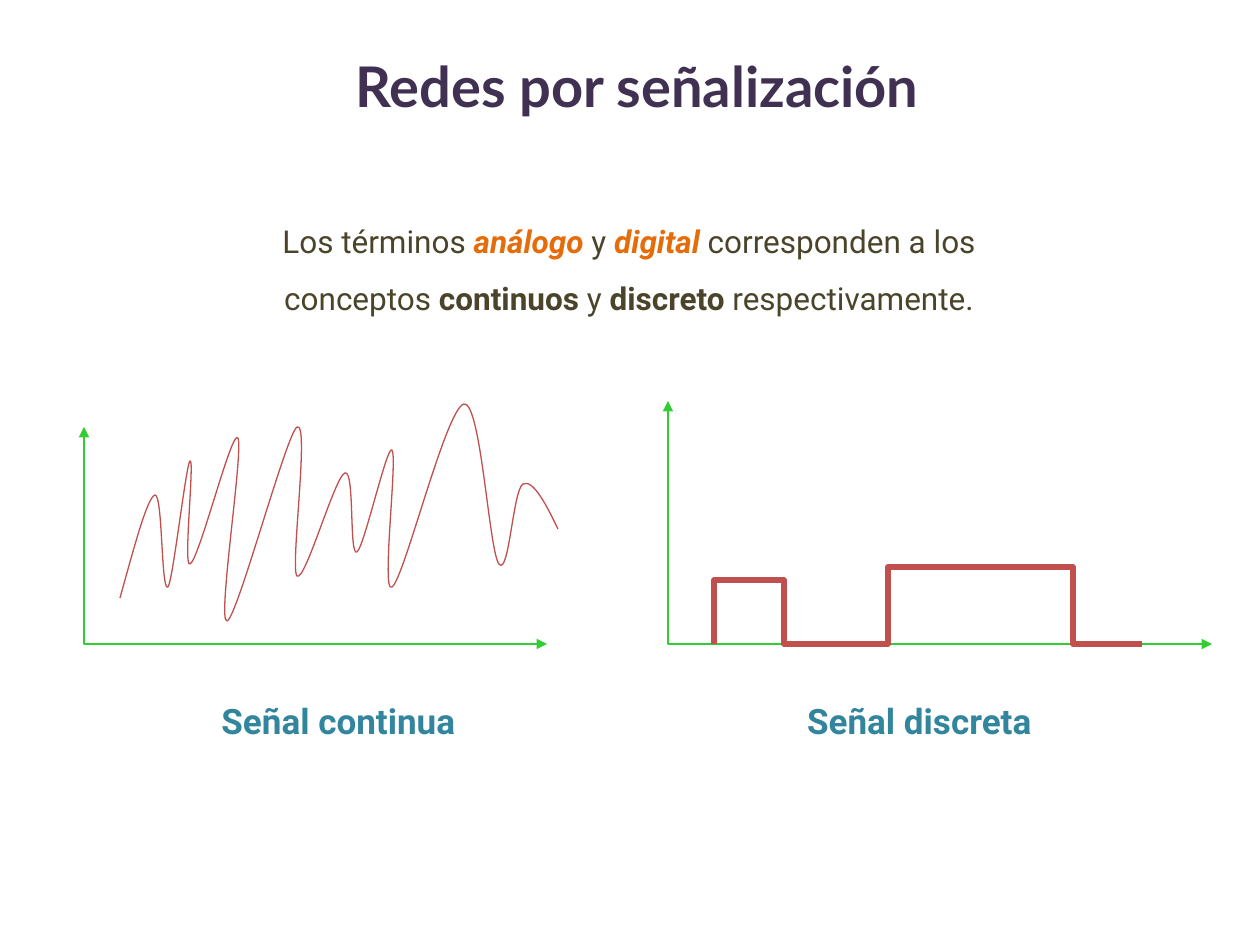
from dataclasses import dataclass

from lxml import etree
from pptx import Presentation
from pptx.dml.color import RGBColor
from pptx.enum.text import MSO_ANCHOR, MSO_AUTO_SIZE, PP_ALIGN
from pptx.oxml.ns import qn
from pptx.util import Emu, Inches, Pt

CENTER = PP_ALIGN.CENTER
MIDDLE = MSO_ANCHOR.MIDDLE
NO_FIT = MSO_AUTO_SIZE.NONE
SCALE = 914400 / 126
COLORS = {
    "title": "403152",
    "body": "4A452A",
    "accent": "E46C0A",
    "caption": "31859C",
    "axis": "33CC33",
    "signal": "C0504D",
}


@dataclass(frozen=True)
class Box:
    left: int
    top: int
    width: int
    height: int


@dataclass(frozen=True)
class Span:
    text: str
    color: str = "body"
    bold: bool = False
    italic: bool = False


@dataclass(frozen=True)
class Outline:
    points: tuple[tuple[int, int], ...]
    color: str
    weight: float
    arrows: bool = False
    curved: bool = False


@dataclass(frozen=True)
class Caption:
    text: str
    left: int


BODY = (
    Span("Los términos "),
    Span("análogo", "accent", True, True),
    Span(" y "),
    Span("digital ", "accent", True, True),
    Span("corresponden a los conceptos "),
    Span("continuos", bold=True),
    Span(" y "),
    Span("discreto", bold=True),
    Span(" respectivamente."),
)

WAVE = (
    (120, 598),
    (134, 548), (147, 498), (155, 495),
    (163, 494), (161, 592), (168, 587),
    (173, 581), (186, 465), (190, 461),
    (195, 457), (183, 568), (190, 564),
    (199, 561), (232, 428), (238, 438),
    (244, 449), (217, 622), (227, 621),
    (237, 619), (286, 435), (297, 427),
    (310, 420), (290, 568), (297, 576),
    (305, 583), (335, 476), (345, 473),
    (355, 469), (349, 557), (357, 552),
    (364, 548), (387, 445), (392, 450),
    (398, 456), (381, 595), (392, 587),
    (404, 580), (446, 408), (464, 404),
    (481, 401), (489, 551), (499, 564),
    (509, 577), (513, 490), (523, 484),
    (533, 479), (546, 504), (558, 529),
)

PULSES = (
    (714, 644), (714, 580), (784, 580), (784, 644), (888, 644),
    (888, 567), (1073, 567), (1073, 644), (1142, 644),
)

OUTLINES = (
    Outline(((84, 427), (84, 644), (547, 644)), "axis", 0.75, arrows=True),
    Outline(WAVE, "signal", 0.75, curved=True),
    Outline(((668, 401), (668, 644), (1212, 644)), "axis", 0.75, arrows=True),
    Outline(PULSES, "signal", 3),
)

CAPTIONS = (Caption("Señal continua", 186), Caption("Señal discreta", 767))


def px(value: int) -> Emu:
    return Emu(round(value * SCALE))


def rgb(name: str) -> RGBColor:
    return RGBColor.from_string(COLORS[name])


def place(sp, box: Box) -> None:
    sp.left, sp.top = px(box.left), px(box.top)
    sp.width, sp.height = px(box.width), px(box.height)


def write(tf, spans: tuple[Span, ...], font: str, size: int, spacing: float = 1.0) -> None:
    tf.word_wrap = True
    p = tf.paragraphs[0]
    p.alignment = CENTER
    p.line_spacing = spacing
    p.font.name = font
    p.font.size = Pt(size)
    for span in spans:
        r = p.add_run()
        r.text = span.text
        r.font.bold = span.bold
        r.font.italic = span.italic
        r.font.color.rgb = rgb(span.color)


def add_text(slide, box: Box, spans: tuple[Span, ...], size: int, spacing: float = 1.0):
    sp = slide.shapes.add_textbox(0, 0, 0, 0)
    place(sp, box)
    write(sp.text_frame, spans, "Roboto", size, spacing)
    return sp.text_frame


def curve_segments(sp) -> None:
    lines = list(sp.element.iter(qn("a:lnTo")))
    for first, second, third in zip(lines[::3], lines[1::3], lines[2::3]):
        curve = etree.Element(qn("a:cubicBezTo"))
        first.addprevious(curve)
        for line in (first, second, third):
            curve.append(line[0])
            line.getparent().remove(line)


def add_outline(slide, outline: Outline) -> None:
    start, *rest = outline.points
    builder = slide.shapes.build_freeform(*start, scale=SCALE)
    builder.add_line_segments(rest, close=False)
    sp = builder.convert_to_shape()
    sp.shadow.inherit = False
    sp.fill.background()
    sp.line.color.rgb = rgb(outline.color)
    sp.line.width = Pt(outline.weight)
    if outline.curved:
        curve_segments(sp)
    if outline.arrows:
        ln = sp.element.spPr.find(qn("a:ln"))
        for end in ("a:headEnd", "a:tailEnd"):
            etree.SubElement(ln, qn(end), type="triangle")


def main() -> None:
    prs = Presentation()
    prs.slide_width, prs.slide_height = Inches(10), Inches(7.5)
    slide = prs.slides.add_slide(prs.slide_layouts[5])

    title = slide.shapes.title
    place(title, Box(20, 6, 1235, 158))
    tf = title.text_frame
    tf.auto_size = NO_FIT
    tf.vertical_anchor = MIDDLE
    write(tf, (Span("Redes por señalización", "title", True),), "Lato", 32)

    tf = add_text(slide, Box(186, 197, 886, 127), BODY, 18, 1.5)
    tf.margin_left = tf.margin_right = px(40)

    for outline in OUTLINES:
        add_outline(slide, outline)
    for caption in CAPTIONS:
        box = Box(caption.left, 693, 305, 55)
        add_text(slide, box, (Span(caption.text, "caption", True),), 20)

    prs.save("out.pptx")


if __name__ == "__main__":
    main()
